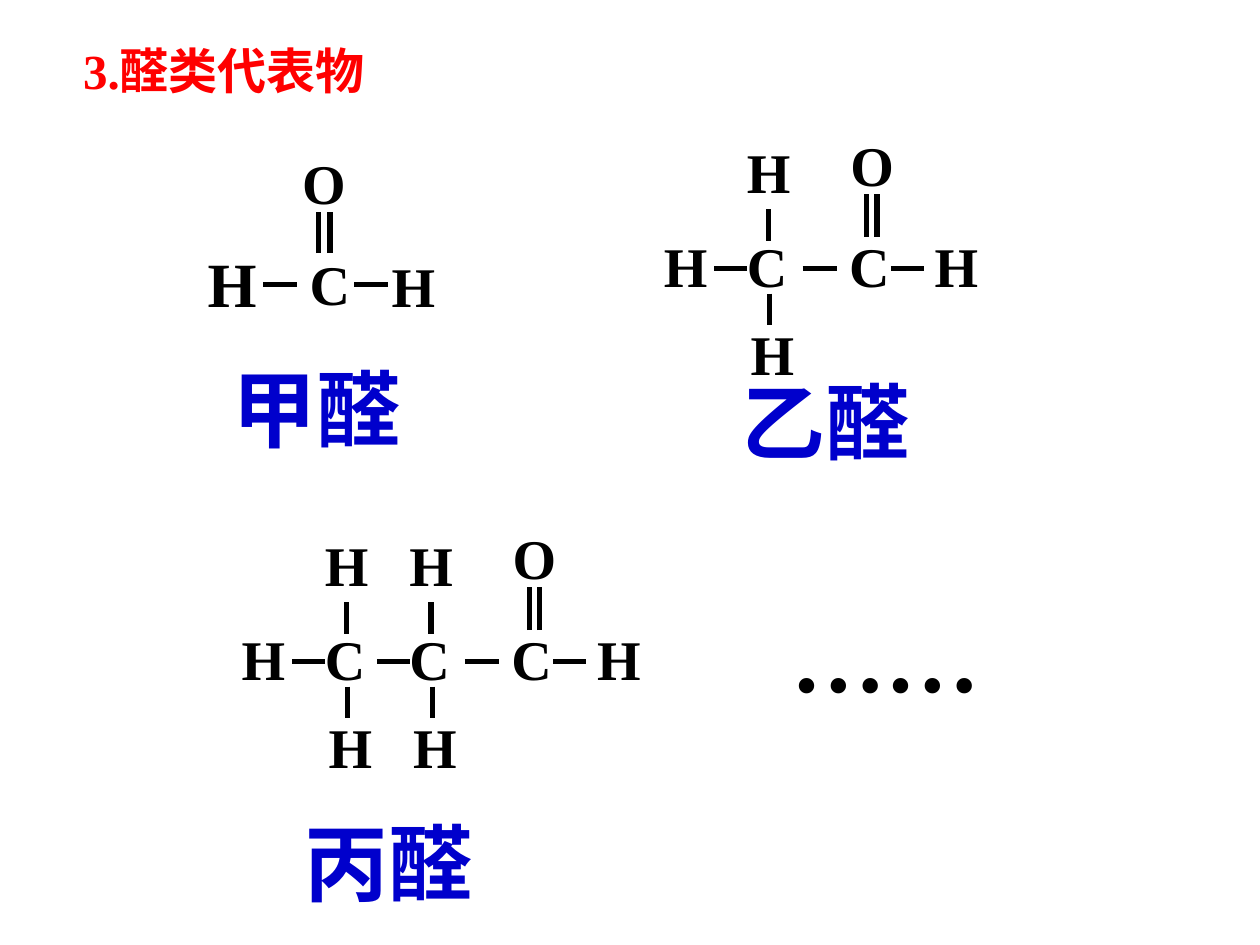
from dataclasses import dataclass

from lxml.etree import SubElement
from pptx import Presentation
from pptx.dml.color import RGBColor
from pptx.enum.shapes import MSO_CONNECTOR as Connector
from pptx.enum.text import MSO_ANCHOR as Anchor, MSO_AUTO_SIZE as AutoSize, PP_ALIGN as Align
from pptx.oxml.ns import qn
from pptx.util import Inches, Pt


@dataclass(frozen=True)
class Theme:
    font: str = "Times New Roman"
    heading: str = "FF0000"
    name: str = "0000CC"
    ink: str = "000000"
    heading_size: int = 28
    atom_size: int = 32
    large_atom_size: int = 36
    name_size: int = 48
    dots_size: int = 54
    bond_width: int = 3


theme = Theme()


def write(box, text, *, size=theme.atom_size, color=theme.ink, wrap=True, spacing=None):
    frame = box.text_frame
    frame.word_wrap = wrap
    frame.auto_size = AutoSize.NONE
    frame.vertical_anchor = Anchor.TOP
    paragraph = frame.paragraphs[0]
    paragraph.alignment = Align.LEFT
    paragraph.line_spacing = spacing
    run = paragraph.add_run()
    run.text = text
    run.font.name = theme.font
    run.font.size = Pt(size)
    run.font.bold = True
    run.font.color.rgb = RGBColor.from_string(color)


def place(left, top, width, height):
    return Inches(left), Inches(top), Inches(width), Inches(height)


prs = Presentation()
prs.slide_width, prs.slide_height = Inches(10), Inches(7.5)
slide = prs.slides.add_slide(prs.slide_layouts[5])

heading = slide.shapes.title
heading.left, heading.top, heading.width, heading.height = place(0.56, 0.36, 2.94, 0.48)
write(heading, "3.醛类代表物", size=theme.heading_size, color=theme.heading, spacing=0.8)

formaldehyde_atoms = [
    ("C", 0, 0, theme.atom_size),
    ("O", -0.06, -0.8, theme.atom_size),
    ("H", 0.65, 0.02, theme.atom_size),
    ("H", -0.81, -0.04, theme.large_atom_size),
]
formaldehyde_bonds = [
    (-0.27, 0.33, 0, 0.33),
    (0.45, 0.33, 0.72, 0.33),
    (0.17, 0.08, 0.17, -0.25),
    (0.26, 0.08, 0.26, -0.25),
]
molecules = [(2.36, 1.93, formaldehyde_atoms, formaldehyde_bonds)]

for carbonyl_x, carbonyl_y, carbon_count in [(6.64, 1.79, 1), (3.96, 4.91, 2)]:
    atoms = [("C", 0, 0), ("O", 0.01, -0.8), ("H", 0.68, 0)]
    bonds = [
        (0.24, 0.09, 0.24, -0.25),
        (0.32, 0.09, 0.32, -0.25),
        (0.43, 0.34, 0.69, 0.34),
        (-0.27, 0.34, 0, 0.34),
    ]
    for position in range(carbon_count):
        x = -0.81 - 0.67 * position
        atoms += [("C", x, 0), ("H", x, -0.75), ("H", x + 0.03, 0.7)]
        bonds += [
            (x + 0.27, -0.13, x + 0.27, 0.12),
            (x + 0.28, 0.54, x + 0.28, 0.79),
            (x + 0.1, 0.34, x - 0.16, 0.34),
        ]
    atoms.append(("H", x - 0.66, 0))
    sized_atoms = [(*atom, theme.atom_size) for atom in atoms]
    molecules.append((carbonyl_x, carbonyl_y, sized_atoms, bonds))

atom_widths = {"H": 0.52, "C": 0.43, "O": 0.7}
for carbonyl_x, carbonyl_y, atoms, bonds in molecules:
    molecule = slide.shapes.add_group_shape()
    for symbol, dx, dy, size in atoms:
        atom = molecule.shapes.add_textbox(
            *place(carbonyl_x + dx, carbonyl_y + dy, atom_widths[symbol], 0.64))
        write(atom, symbol, size=size)
    for x1, y1, x2, y2 in bonds:
        bond = molecule.shapes.add_connector(
            Connector.STRAIGHT,
            Inches(carbonyl_x + x1), Inches(carbonyl_y + y1),
            Inches(carbonyl_x + x2), Inches(carbonyl_y + y2))
        bond.line.color.rgb = RGBColor.from_string(theme.ink)
        bond.line.width = Pt(theme.bond_width)
        SubElement(bond._element.spPr, qn("a:effectLst"))

for name, left, top, width in [
    ("甲醛", 1.75, 2.79, 2.07),
    ("乙醛", 5.79, 2.89, 2.84),
    ("丙醛", 2.32, 6.39, 2.92),
]:
    label = slide.shapes.add_textbox(*place(left, top, width, 0.9))
    write(label, name, size=theme.name_size, color=theme.name)

dots = slide.shapes.add_textbox(*place(6.18, 4.7, 1.7, 1))
write(dots, "……", size=theme.dots_size, wrap=False)

prs.save("out.pptx")
